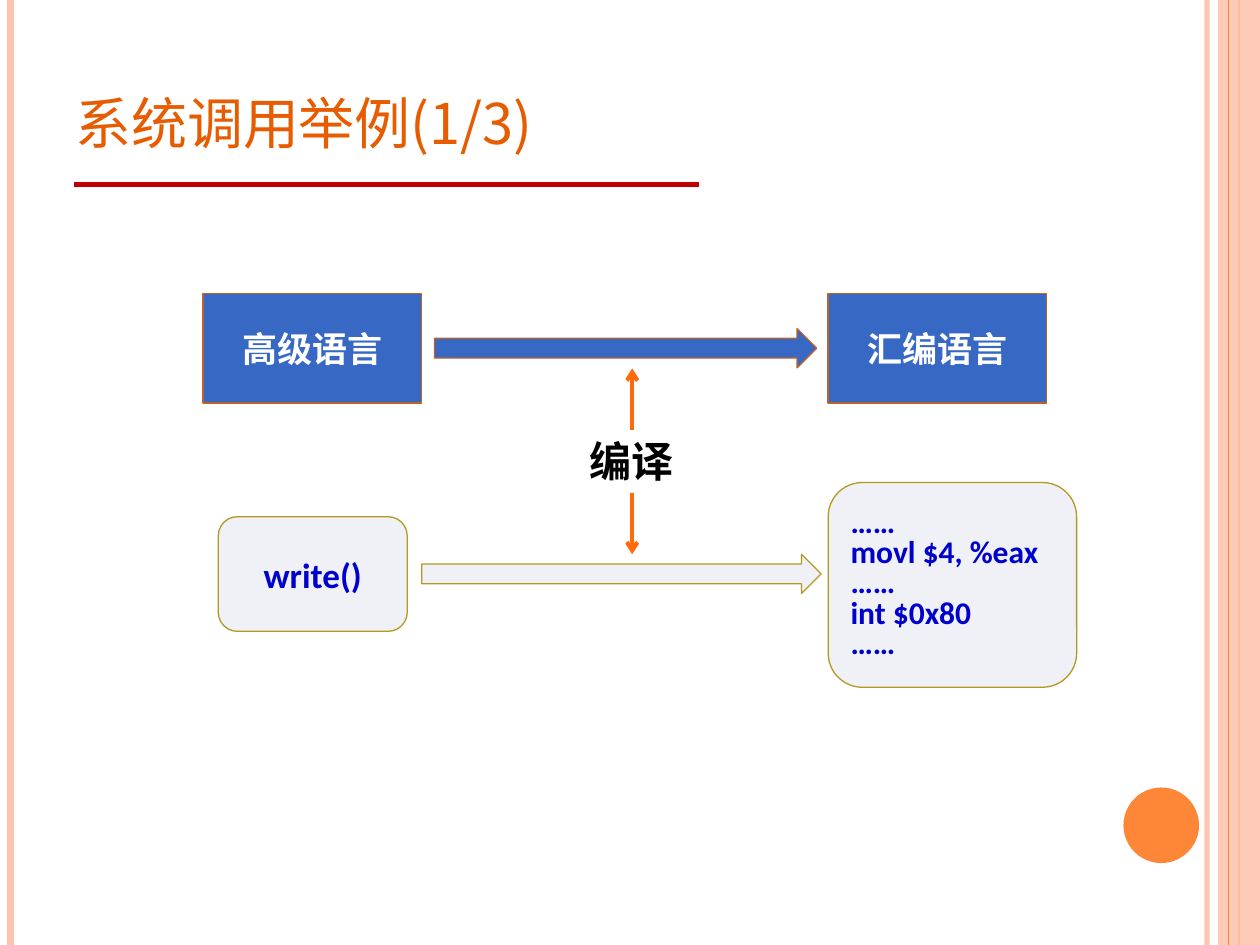
from dataclasses import dataclass

from lxml.etree import SubElement
from pptx import Presentation
from pptx.dml.color import RGBColor
from pptx.enum.shapes import MSO_CONNECTOR, MSO_SHAPE
from pptx.enum.text import MSO_ANCHOR, MSO_AUTO_SIZE, PP_ALIGN
from pptx.oxml.ns import qn
from pptx.util import Pt

PEACH = RGBColor(0xFE, 0xC3, 0xAE)
ORANGE = RGBColor(0xFE, 0x86, 0x37)
ARROW_ORANGE = RGBColor(0xFF, 0x6B, 0x0A)
TITLE_ORANGE = RGBColor(0xE7, 0x5C, 0x01)
RED = RGBColor(0xC0, 0x00, 0x00)
BLUE = RGBColor(0x36, 0x68, 0xC4)
BROWN = RGBColor(0xBC, 0x63, 0x29)
PALE = RGBColor(0xEF, 0xF1, 0xF7)
GOLD = RGBColor(0xB5, 0x98, 0x21)
CODE_BLUE = RGBColor(0x00, 0x00, 0xCC)
WHITE = RGBColor(0xFF, 0xFF, 0xFF)
BLACK = RGBColor(0x00, 0x00, 0x00)

LATIN = "Calibri"
CHINESE = "Noto Sans CJK SC"
WIDTH, HEIGHT = 720, 540


@dataclass
class Style:
    fill: RGBColor
    outline: RGBColor
    text: RGBColor


@dataclass
class Node:
    kind: MSO_SHAPE
    left: float
    top: float
    width: float
    height: float
    style: Style
    lines: tuple = ()
    size: float = 20
    align: PP_ALIGN = PP_ALIGN.CENTER
    spacing: float = 1.0


@dataclass
class Rule:
    start: tuple
    end: tuple
    color: RGBColor
    weight: float
    opacity: int = 100
    arrow: bool = False


def set_opacity(fill_parent, percent: int) -> None:
    color = fill_parent.find(".//" + qn("a:srgbClr"))
    SubElement(color, qn("a:alpha"), val=str(percent * 1000))


def add_span(para, text: str, size: float, color: RGBColor, font: str = LATIN,
             bold: bool = True):
    span = para.add_run()
    span.text = text
    span.font.size = Pt(size)
    span.font.bold = bold
    span.font.name = font
    span.font.color.rgb = color
    if not text.isascii() and "…" not in text:
        SubElement(span.font._element, qn("a:ea"), typeface=CHINESE)
    return span


def add_rule(page, rule: Rule) -> None:
    line = page.shapes.add_connector(
        MSO_CONNECTOR.STRAIGHT, *(Pt(v) for v in rule.start + rule.end))
    line.line.color.rgb = rule.color
    line.line.width = Pt(rule.weight)
    SubElement(line._element.spPr, qn("a:effectLst"))
    if rule.opacity < 100:
        set_opacity(line._element.spPr, rule.opacity)
    if rule.arrow:
        SubElement(line.line._get_or_add_ln(), qn("a:tailEnd"), type="arrow")


def add_node(page, node: Node) -> None:
    box = page.shapes.add_shape(
        node.kind, Pt(node.left), Pt(node.top), Pt(node.width), Pt(node.height))
    box.shadow.inherit = False
    box.fill.solid()
    box.fill.fore_color.rgb = node.style.fill
    box.line.color.rgb = node.style.outline
    box.line.width = Pt(0.75)
    frame = box.text_frame
    frame.word_wrap = True
    frame.vertical_anchor = MSO_ANCHOR.MIDDLE
    for index, text in enumerate(node.lines):
        para = frame.add_paragraph() if index else frame.paragraphs[0]
        para.alignment = node.align
        para.line_spacing = node.spacing
        add_span(para, text, node.size, node.style.text)


def add_plain(page, kind: MSO_SHAPE, left: float, top: float, width: float,
              height: float, color: RGBColor, opacity: int = 100) -> None:
    shape = page.shapes.add_shape(kind, Pt(left), Pt(top), Pt(width), Pt(height))
    shape.shadow.inherit = False
    shape.fill.solid()
    shape.fill.fore_color.rgb = color
    shape.line.fill.background()
    if opacity < 100:
        set_opacity(shape._element.spPr, opacity)


def vertical(x: float, color: RGBColor, weight: float, opacity: int = 100) -> Rule:
    return Rule((x, 0), (x, HEIGHT), color, weight, opacity)


def add_decoration(page) -> None:
    for rule in (vertical(689.75, PEACH, 3, 93), vertical(6, PEACH, 4.5),
                 vertical(708, ORANGE, 1.5)):
        add_rule(page, rule)
    add_plain(page, MSO_SHAPE.RECTANGLE, 696, 0, 24, HEIGHT, PEACH, 87)
    add_rule(page, vertical(702, ORANGE, 0.75))
    add_plain(page, MSO_SHAPE.OVAL, 642, 450, 43.2, 43.2, ORANGE)
    add_rule(page, Rule((42.5, 105.5), (399.5, 105.5), RED, 3))


def add_title(page) -> None:
    title = page.shapes.title
    title.left, title.top, title.width, title.height = (
        Pt(36), Pt(21.6), Pt(588), Pt(72.75))
    frame = title.text_frame
    frame.auto_size = MSO_AUTO_SIZE.NONE
    frame.vertical_anchor = MSO_ANCHOR.BOTTOM
    para = frame.paragraphs[0]
    para.alignment = PP_ALIGN.LEFT
    span = add_span(para, "系统调用举例(1/3)", 40, TITLE_ORANGE, CHINESE, False)
    span.font._element.set("cap", "small")


def add_diagram(page) -> None:
    language = Style(BLUE, BROWN, WHITE)
    code = Style(PALE, GOLD, CODE_BLUE)
    right = 473.25
    assembly = ("……", "movl $4, %eax", "……", "int $0x80", "……")
    nodes = (
        Node(MSO_SHAPE.RECTANGLE, 116, 167.75, 125, 62.5, language, ("高级语言",)),
        Node(MSO_SHAPE.RECTANGLE, right, 167.75, 125, 62.5, language, ("汇编语言",)),
        Node(MSO_SHAPE.ROUNDED_RECTANGLE, 124.75, 295.25, 108, 65.5, code, ("write()",)),
        Node(MSO_SHAPE.ROUNDED_RECTANGLE, right, 275.75, 142, 117, code, assembly,
             18, PP_ALIGN.LEFT, 0.8),
        Node(MSO_SHAPE.RIGHT_ARROW, 248.25, 187.75, 218.5, 22.5, language),
        Node(MSO_SHAPE.RIGHT_ARROW, 241, 316.75, 228.25, 22.5, code),
    )
    for node in nodes:
        add_node(page, node)

    # Compile label with arrows to both flows
    middle, top, bottom = 361.25, 245.5, 282
    label = page.shapes.add_textbox(Pt(middle - 31.5), Pt(top), Pt(63), Pt(bottom - top))
    label.text_frame.word_wrap = False
    label.text_frame.auto_size = MSO_AUTO_SIZE.SHAPE_TO_FIT_TEXT
    add_span(label.text_frame.paragraphs[0], "编译", 24, BLACK, CHINESE)
    for start, end in ((top, 210.5), (bottom, 316.75)):
        add_rule(page, Rule((middle, start), (middle, end), ARROW_ORANGE, 2.25, arrow=True))


def main() -> None:
    deck = Presentation()
    deck.slide_width, deck.slide_height = Pt(WIDTH), Pt(HEIGHT)
    page = deck.slides.add_slide(deck.slide_layouts[5])
    add_decoration(page)
    add_title(page)
    add_diagram(page)
    deck.save("out.pptx")


if __name__ == "__main__":
    main()
